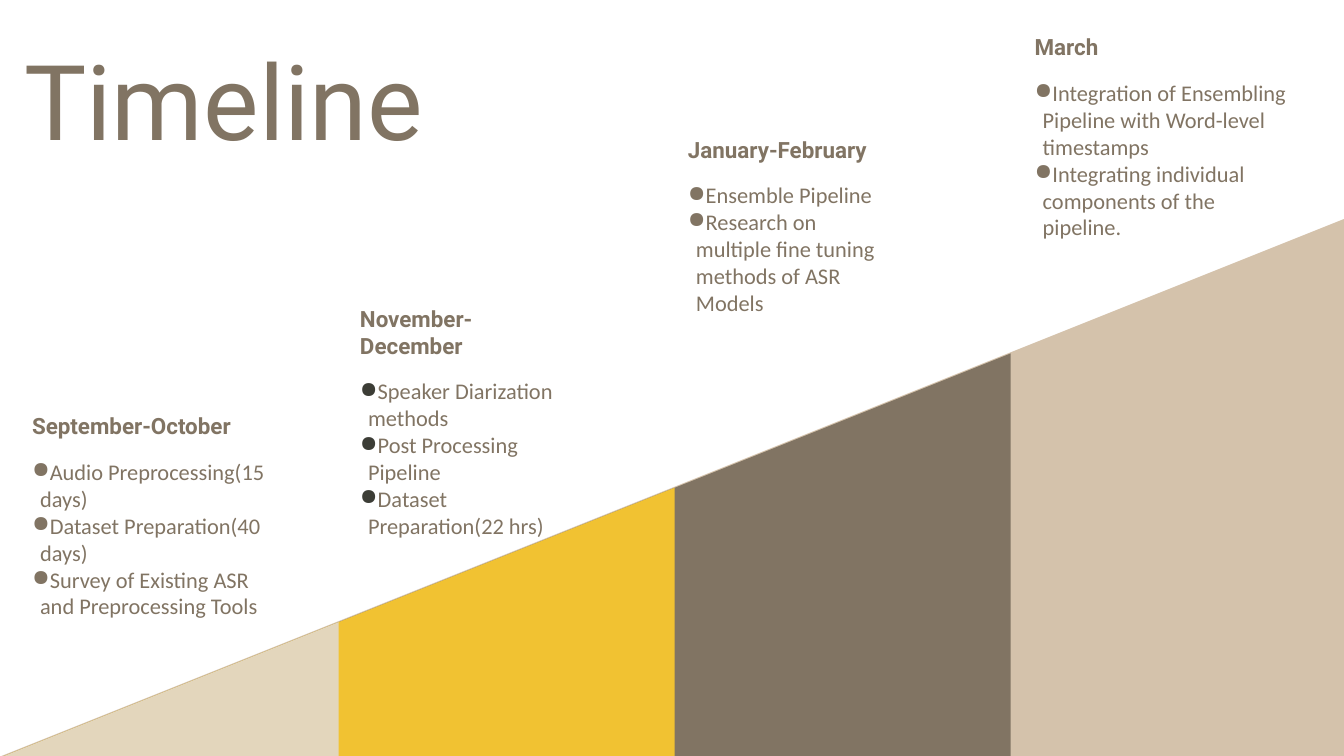
from lxml import etree
from pptx import Presentation
from pptx.dml.color import RGBColor
from pptx.enum.shapes import MSO_SHAPE
from pptx.enum.text import MSO_ANCHOR, PP_ALIGN
from pptx.oxml.ns import qn
from pptx.util import Inches, Pt

TAUPE = RGBColor(0x81, 0x74, 0x63)
CHARCOAL = RGBColor(0x3C, 0x3D, 0x36)
TAN = RGBColor(0xD4, 0xC2, 0xAB)
GOLD = RGBColor(0xF1, 0xC2, 0x32)
SAND = RGBColor(0xE3, 0xD6, 0xBC)

COLUMN = 2.5  # a quarter of the slide's width
RISE = 1  # height gained over each column
BASELINE = 5.63
HANGING = Inches(0.06)


def style(paragraph, font_name, size, bold=False):
    for run in paragraph.runs:
        run.font.name = font_name
        run.font.size = Pt(size)
        run.font.bold = bold
        run.font.color.rgb = TAUPE


def add_bullet(paragraph, color):
    properties = paragraph._p.get_or_add_pPr()
    properties.set("marL", str(HANGING))
    properties.set("indent", str(-HANGING))
    bullet_color = etree.SubElement(properties, qn("a:buClr"))
    etree.SubElement(bullet_color, qn("a:srgbClr")).set("val", str(color))
    etree.SubElement(properties, qn("a:buChar")).set("char", "●")


prs = Presentation()
prs.slide_width = Inches(10)
prs.slide_height = Inches(10 * 9 / 16)
slide = prs.slides.add_slide(prs.slide_layouts[5])

# Nested slopes, widest at the back; each leaves one column of the next in view
for columns, left, color in [(4, 0, TAN), (3, 0.02, TAUPE), (2, 0.02, GOLD), (1, 0.02, SAND)]:
    slope = slide.shapes.add_shape(
        MSO_SHAPE.ISOSCELES_TRIANGLE,
        Inches(left), Inches(BASELINE - columns * RISE),
        Inches(columns * COLUMN), Inches(columns * RISE))
    slope.adjustments[0] = 1
    slope.shadow.inherit = False
    slope.fill.solid()
    slope.fill.fore_color.rgb = color
    slope.line.fill.background()

title = slide.shapes.title
title.left, title.top = Inches(0.08), Inches(0.37)
title.width, title.height = Inches(4.87), Inches(0.99)
title_frame = title.text_frame
title_frame.text = "Timeline"
title_frame.vertical_anchor = MSO_ANCHOR.MIDDLE
title_frame.margin_left = title_frame.margin_right = Inches(0.1)
title_frame.margin_top = title_frame.margin_bottom = Inches(0.1)
heading = title_frame.paragraphs[0]
heading.alignment = PP_ALIGN.LEFT
heading.line_spacing = 0.65
style(heading, "Roboto", 56)

# Period, left, top, width, bullet colour, tasks
phases = [
    ("September-October", 0.14, 2.97, 1.96, TAUPE, [
        "Audio Preprocessing(15 days)",
        "Dataset Preparation(40 days)",
        "Survey of Existing ASR and Preprocessing Tools"]),
    ("November-December", 2.58, 2.17, 1.78, CHARCOAL, [
        "Speaker Diarization methods",
        "Post Processing Pipeline",
        "Dataset Preparation(22 hrs)"]),
    ("January-February", 5.02, 0.91, 1.62, TAUPE, [
        "Ensemble Pipeline",
        "Research on multiple fine tuning methods of ASR Models"]),
    ("March", 7.6, 0.15, 2.08, TAUPE, [
        "Integration of Ensembling Pipeline with Word-level timestamps",
        "Integrating individual components of the pipeline."]),
]
for period, left, top, width, bullet_color, tasks in phases:
    phase = slide.shapes.add_textbox(Inches(left), Inches(top), Inches(width), Inches(1.82))
    frame = phase.text_frame
    frame.word_wrap = True
    frame.margin_left = frame.margin_right = Inches(0.1)
    frame.margin_top = frame.margin_bottom = Inches(0.1)
    frame.text = period
    style(frame.paragraphs[0], "Roboto", 12, bold=True)
    for index, task in enumerate(tasks):
        item = frame.add_paragraph()
        item.text = task
        add_bullet(item, bullet_color)
        item.space_before = Pt(0 if index else 10)
        style(item, "Calibri", 12)

prs.save("out.pptx")
